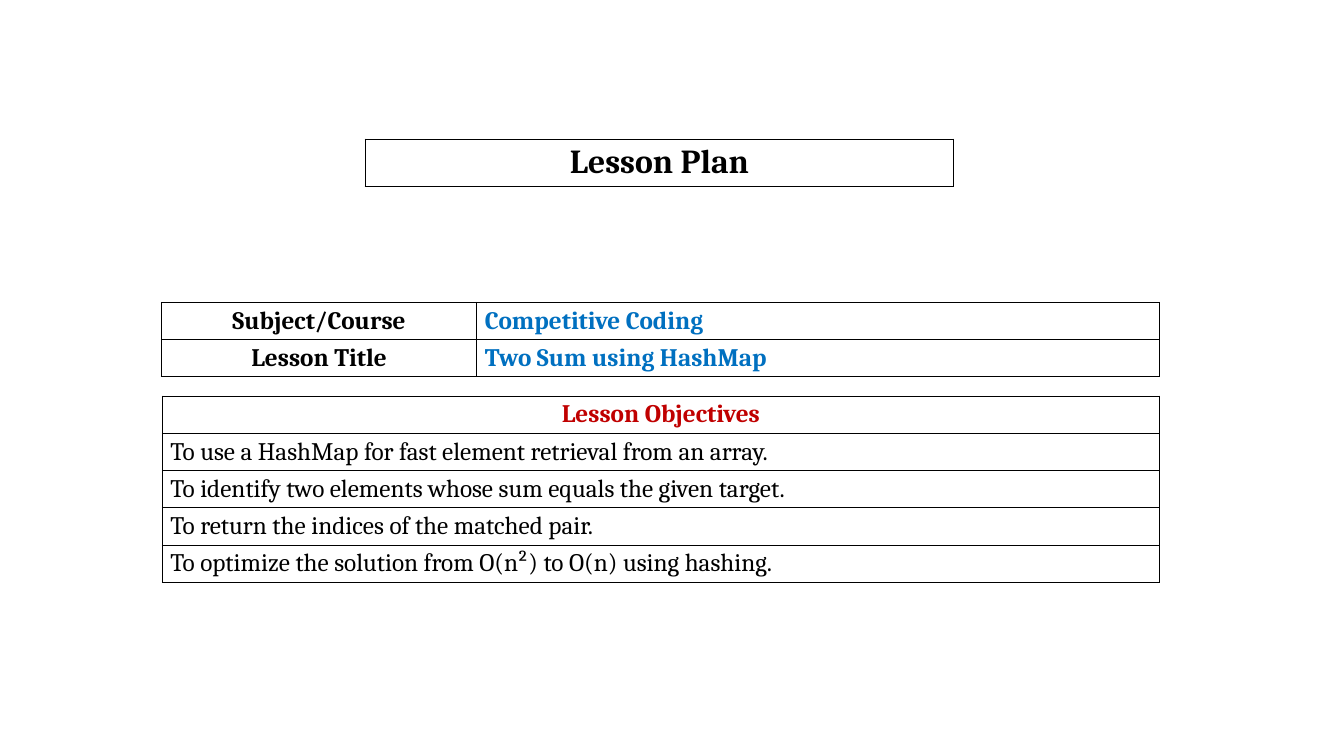
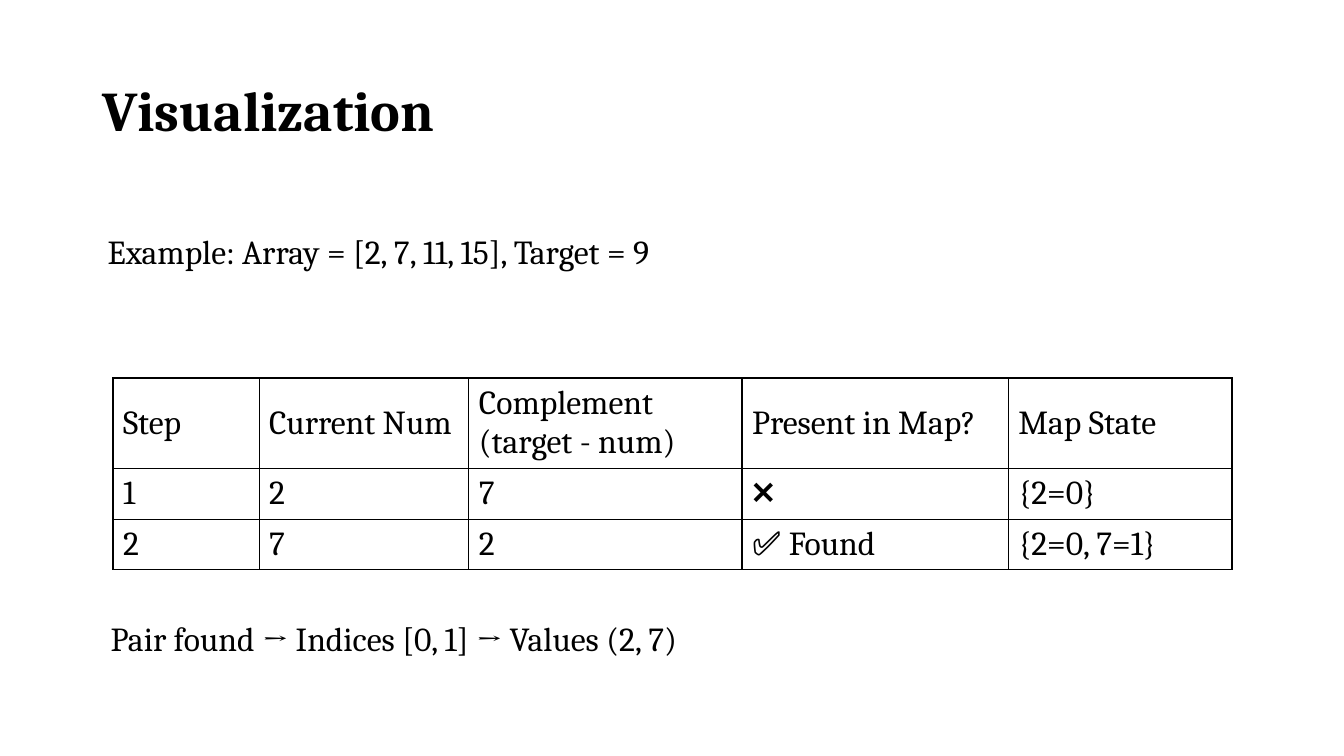
from pptx import Presentation
from pptx.dml.color import RGBColor
from pptx.enum.text import MSO_ANCHOR, PP_ALIGN
from pptx.oxml import parse_xml
from pptx.oxml.ns import nsdecls
from pptx.util import Inches, Pt

FONT = "Cambria"
BLACK, WHITE, BLUE, RED = "000000", "FFFFFF", "0070C0", "C00000"


def style(para, size, color=BLACK, bold=False, align=PP_ALIGN.LEFT):
    para.alignment = align
    font = para.font
    font.name, font.size, font.bold = FONT, Pt(size), bold
    font.color.rgb = RGBColor.from_string(color)


def grid(slide, left, top, cols, heights, texts, size, pad, line):
    frame = slide.shapes.add_table(
        len(heights), len(cols), Inches(left), Inches(top),
        Inches(sum(cols)), Inches(sum(heights)))
    table = frame.table
    table.first_row = table.horz_banding = False
    for col, width in zip(table.columns, cols):
        col.width = Inches(width)
    for row, height, words in zip(table.rows, heights, texts):
        row.height = Inches(height)
        for cell, text in zip(row.cells, words):
            cell.text = text
            cell.vertical_anchor = MSO_ANCHOR.MIDDLE
            cell.margin_left = cell.margin_right = Inches(2 * pad)
            cell.margin_top = cell.margin_bottom = Inches(pad)
            props = cell._tc.get_or_add_tcPr()
            for side in "LRTB":
                props.append(parse_xml(
                    f'<a:ln{side} {nsdecls("a")} w="{Pt(line)}"><a:solidFill>'
                    f'<a:srgbClr val="{BLACK}"/></a:solidFill></a:ln{side}>'))
            cell.fill.solid()
            cell.fill.fore_color.rgb = RGBColor.from_string(WHITE)
            style(cell.text_frame.paragraphs[0], size)
    return table


deck = Presentation()
deck.slide_width, deck.slide_height = Inches(13.33), Inches(7.5)
blank = deck.slide_layouts[6]

plan = deck.slides.add_slide(blank)
head = grid(plan, 3.62, 1.38, [5.84], [0.47], [["Lesson Plan"]], 24, 0.04, 0.77)
style(head.cell(0, 0).text_frame.paragraphs[0], 24, bold=True, align=PP_ALIGN.CENTER)

facts = [
    ["Subject/Course", "Competitive Coding"],
    ["Lesson Title", "Two Sum using HashMap"],
]
about = grid(plan, 1.6, 3, [3.13, 6.77], [0.37] * 2, facts, 18, 0.04, 0.77)
for row in about.rows:
    label, value = row.cells
    style(label.text_frame.paragraphs[0], 18, bold=True, align=PP_ALIGN.CENTER)
    style(value.text_frame.paragraphs[0], 18, BLUE, True)

goals = [
    ["Lesson Objectives"],
    ["To use a HashMap for fast element retrieval from an array."],
    ["To identify two elements whose sum equals the given target."],
    ["To return the indices of the matched pair."],
    ["To optimize the solution from O(n²) to O(n) using hashing."],
]
aims = grid(plan, 1.61, 3.93, [9.89], [0.37] * 5, goals, 18, 0.04, 0.77)
style(aims.cell(0, 0).text_frame.paragraphs[0], 18, RED, True, PP_ALIGN.CENTER)

visual = deck.slides.add_slide(blank)
notes = [
    ("Visualization", 0.92, 0.4, 11.5, 1.45, 40, True),
    ("Example: Array = [2, 7, 11, 15], Target = 9", 0.97, 2.24, 10.94, 0.5, 24, False),
    ("Pair found → Indices [0, 1] → Values (2, 7)", 1, 6.08, 10.94, 0.5, 24, False),
]
for text, left, top, width, height, size, bold in notes:
    box = visual.shapes.add_textbox(
        Inches(left), Inches(top), Inches(width), Inches(height))
    frame = box.text_frame
    frame.word_wrap = True
    frame.text = text
    frame.vertical_anchor = MSO_ANCHOR.MIDDLE if bold else MSO_ANCHOR.TOP
    para = frame.paragraphs[0]
    para.line_spacing = 0.9 if bold else 1.0
    style(para, size, bold=bold)

steps = [
    ["Step", "Current Num", "Complement (target - num)", "Present in Map?", "Map State"],
    ["1", "2", "7", "❌", "{2=0}"],
    ["2", "7", "2", "✅ Found", "{2=0, 7=1}"],
]
grid(visual, 1.12, 3.75, [1.45, 2.08, 2.71, 2.64, 2.22], [0.87, 0.48, 0.48],
     steps, 24, 0.05, 1)

deck.save("out.pptx")
